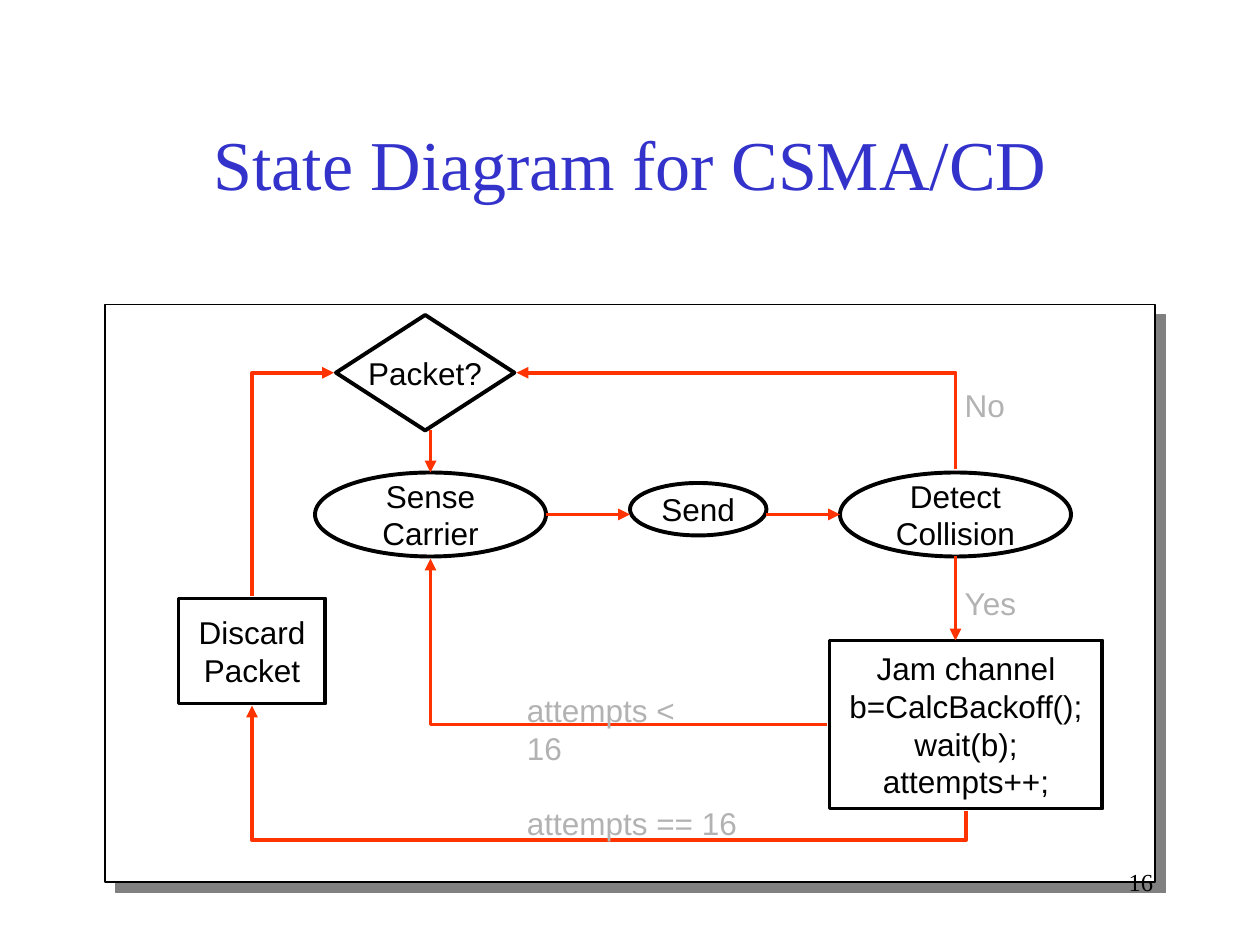
from lxml import etree
from pptx import Presentation
from pptx import util as u
from pptx.dml.color import RGBColor
from pptx.enum import shapes, text
from pptx.oxml.ns import qn

PX = 7620  # EMU in one px, 120 px to the inch
BLACK = RGBColor(0x00, 0x00, 0x00)
WHITE = RGBColor(0xFF, 0xFF, 0xFF)
BLUE = RGBColor(0x33, 0x33, 0xCC)
RED = RGBColor(0xFF, 0x33, 0x00)
GRAY = RGBColor(0xB2, 0xB2, 0xB2)
KIND = shapes.MSO_SHAPE
ALIGN = text.PP_ALIGN
MIDDLE = text.MSO_ANCHOR.MIDDLE


def px(*values):
    return [u.Emu(v * PX) for v in values]


def sub(parent, tag, **attrs):
    return etree.SubElement(parent, qn(tag), {k: str(v) for k, v in attrs.items()})


class Diagram:
    """Holds the style and the current slide."""

    def __init__(self, s):
        self.s = s
        self.base = {"name": "Arial", "size": u.Pt(18)}

    def put_text(self, sp, lines, color, align, **fmt):
        tf = sp.text_frame
        for i, line in enumerate(lines.split("\n")):
            p = tf.add_paragraph() if i else tf.paragraphs[0]
            p.alignment = align
            r = p.add_run()
            r.text = line
            for key, value in {**self.base, **fmt}.items():
                setattr(r.font, key, value)
            r.font.color.rgb = color
        return tf

    def title(self, words, *box):
        sp = self.s.shapes.title
        sp.left, sp.top, sp.width, sp.height = px(*box)
        tf = self.put_text(sp, words, BLUE, ALIGN.CENTER,
                           name="Times New Roman", size=u.Pt(40))
        tf.vertical_anchor = MIDDLE

    def box(self, kind, *box, weight=2.25):
        sp = self.s.shapes.add_shape(kind, *px(*box))
        sp.fill.solid()
        sp.fill.fore_color.rgb = WHITE
        sp.line.color.rgb = BLACK
        sp.line.width = u.Pt(weight)
        sp.shadow.inherit = False
        return sp

    def panel(self, *box):
        """Frame with a hard grey shadow to the lower right."""
        sp = self.box(KIND.RECTANGLE, *box, weight=0.75)
        effects = sp._element.spPr.find(qn("a:effectLst"))
        shadow = sub(effects, "a:outerShdw", blurRad=0, dist=u.Pt(8.5),
                     dir=45 * 60000, algn="ctr", rotWithShape=0)
        sub(shadow, "a:srgbClr", val="808080")

    def state(self, kind, words, *box, wrap=True):
        tf = self.put_text(self.box(kind, *box), words, BLACK, ALIGN.CENTER)
        tf.word_wrap = wrap
        tf.vertical_anchor = MIDDLE

    def label(self, words, *box):
        sp = self.s.shapes.add_textbox(*px(*box))
        tf = self.put_text(sp, words, GRAY, ALIGN.LEFT)
        tf.word_wrap = False
        tf.auto_size = text.MSO_AUTO_SIZE.SHAPE_TO_FIT_TEXT

    def page_number(self, number, *box):
        sp = self.s.shapes.add_textbox(*px(*box))
        tf = self.put_text(sp, number, BLACK, ALIGN.RIGHT,
                           name="Times New Roman", size=u.Pt(14))
        tf.word_wrap = True

    def arrow(self, x1, y1, x2, y2, kind=shapes.MSO_CONNECTOR.STRAIGHT, end="a:tailEnd"):
        cn = self.s.shapes.add_connector(kind, *px(x1, y1, x2, y2))
        cn.line.color.rgb = RED
        cn.line.width = u.Pt(2.25)
        sub(cn.line._get_or_add_ln(), end, type="triangle")
        sub(cn._element.spPr, "a:effectLst")
        return cn

    def elbow(self, x, y, w, h, rot, flip=True, adj=None, end="a:tailEnd"):
        """Bent arrow that covers the box x, y, w, h once it is turned by rot degrees."""
        if rot == 270:
            x, y, w, h = x + (w - h) // 2, y + (h - w) // 2, h, w
        cn = self.arrow(x, y, x + w, y + h, shapes.MSO_CONNECTOR.ELBOW, end)
        spPr = cn._element.spPr
        xfrm = spPr.find(qn("a:xfrm"))
        xfrm.set("rot", str(rot * 60000))
        if flip:
            xfrm.set("flipV", "1")
        geom = spPr.find(qn("a:prstGeom"))
        if adj is None:
            geom.set("prst", "bentConnector2")
        else:
            sub(geom.find(qn("a:avLst")), "a:gd", name="adj1", fmla=f"val {adj}")


def main():
    prs = Presentation()
    prs.slide_width, prs.slide_height = px(1200, 900)
    d = Diagram(prs.slides.add_slide(prs.slide_layouts[5]))

    d.title("State Diagram for CSMA/CD", 90, 80, 1020, 150)
    d.panel(100, 290, 1000, 550)

    d.state(KIND.FLOWCHART_DECISION, "Packet?", 320, 300, 170, 110, wrap=False)
    d.state(KIND.OVAL, "Sense Carrier", 300, 450, 220, 80)
    d.state(KIND.RECTANGLE, "Discard Packet", 170, 570, 140, 100)
    d.state(KIND.OVAL, "Send", 600, 460, 130, 50, wrap=False)
    d.state(KIND.OVAL, "Detect Collision", 800, 450, 220, 80)
    d.state(KIND.RECTANGLE, "Jam channel b=CalcBackoff(); wait(b);\nattempts++;",
            790, 610, 260, 160)

    for ends in ((410, 410, 410, 450), (910, 530, 910, 610),
                 (520, 490, 600, 490), (730, 490, 800, 490)):
        d.arrow(*ends)

    d.elbow(240, 355, 78, 213, 180, end="a:headEnd")
    d.elbow(492, 355, 418, 92, 270)
    d.elbow(410, 532, 378, 158, 180, flip=False)
    d.elbow(240, 672, 680, 100, 270, adj=-28100)

    for words, *box in (("No", 907, 362, 62, 48), ("Yes", 907, 550, 76, 48),
                        ("attempts < 16", 490, 652, 206, 48),
                        ("attempts == 16", 490, 760, 224, 48)):
        d.label(words, *box)

    d.page_number("16", 860, 820, 250, 60)
    prs.save("out.pptx")


if __name__ == "__main__":
    main()
